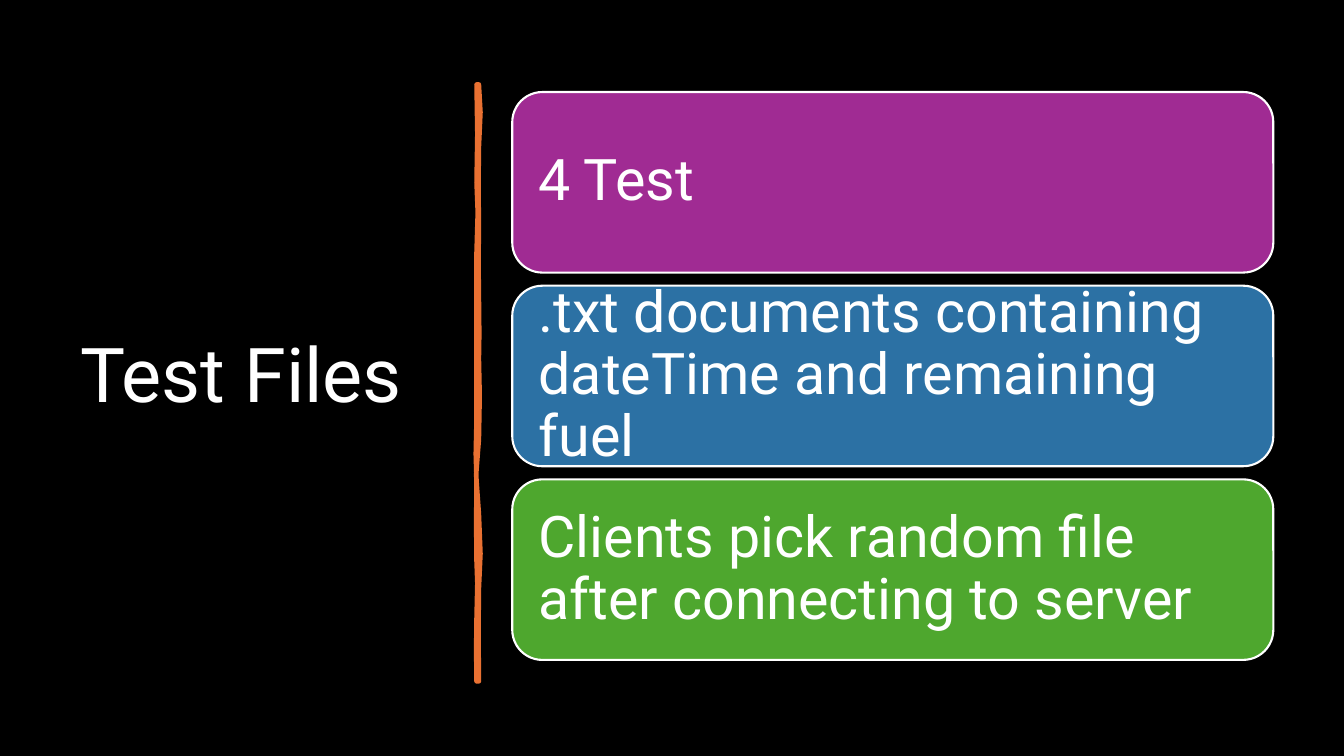
import dataclasses
import typing

import pptx
import pptx.dml.color
import pptx.enum.shapes
import pptx.enum.text
import pptx.slide
import pptx.text.text
import pptx.util

Cm = pptx.util.Cm
Pt = pptx.util.Pt
RGB = pptx.dml.color.RGBColor


@dataclasses.dataclass(frozen=True)
class Theme:
    """Colours, font and type sizes."""

    background: RGB = RGB.from_string("000000")
    text: RGB = RGB.from_string("FFFFFF")
    divider: RGB = RGB.from_string("E97132")
    purple: RGB = RGB.from_string("A02B93")
    blue: RGB = RGB.from_string("2C71A4")
    green: RGB = RGB.from_string("4EA72E")
    font: str = "Roboto"
    title_size: float = 54
    card_size: float = 41
    line_spacing: float = 0.9
    card_line: float = 1.5
    divider_line: float = 3.25


class Card(typing.NamedTuple):
    """Text and fill of one rounded card."""

    text: str
    fill: RGB


class Point(typing.NamedTuple):
    """One corner of the divider outline, in centimetres."""

    x: float
    y: float


THEME = Theme()
CARDS = (
    Card("4 Test", THEME.purple),
    Card(".txt documents containing dateTime and remaining fuel", THEME.blue),
    Card("Clients pick random file after connecting to server", THEME.green),
)
CARD_LEFT, CARD_TOP, CARD_WIDTH, CARD_HEIGHT = 12.91, 2.32, 19.18, 4.55
CARD_PITCH = 4.88
CARD_INSET = 0.44
DIVIDER_RIGHT = (
    Point(12.07, 2.13), Point(12.11, 2.83), Point(12.07, 3.71), Point(12.06, 4.68),
    Point(12.07, 5.74), Point(12.06, 6.59), Point(12.07, 7.47), Point(12.08, 8.42),
    Point(12.07, 9.04), Point(12.09, 9.98), Point(12.07, 11.07), Point(12, 11.97),
    Point(12.07, 12.95), Point(12.11, 13.95), Point(12.07, 14.83),
    Point(12.06, 15.94), Point(12.07, 17.17),
)
DIVIDER_LEFT = (
    Point(12.01, 17.17), Point(12, 16.38), Point(12.01, 15.57), Point(12.03, 14.7),
    Point(12.01, 14.15), Point(12, 13.18), Point(12.01, 12.12), Point(11.99, 11.44),
    Point(12.01, 10.54), Point(12.01, 9.61), Point(12.01, 8.51), Point(12.01, 7.37),
    Point(12.01, 6.35), Point(12.04, 5.35), Point(12.01, 4.6), Point(12.03, 3.38),
    Point(12.01, 2.13),
)


def set_text(tf: pptx.text.text.TextFrame, text: str, size: float) -> None:
    """Write left-aligned, vertically centred text."""
    tf.text = text
    tf.word_wrap = True
    tf.auto_size = pptx.enum.text.MSO_AUTO_SIZE.NONE
    tf.vertical_anchor = pptx.enum.text.MSO_ANCHOR.MIDDLE
    p = tf.paragraphs[0]
    p.alignment = pptx.enum.text.PP_ALIGN.LEFT
    p.line_spacing = THEME.line_spacing
    r = p.runs[0]
    r.font.name = THEME.font
    r.font.size = Pt(size)
    r.font.color.rgb = THEME.text


def add_title(s: pptx.slide.Slide, text: str) -> None:
    """Place and format the title placeholder."""
    sp = s.shapes.title
    sp.left, sp.top, sp.width, sp.height = Cm(1.77), Cm(1.77), Cm(9.5), Cm(15.52)
    set_text(sp.text_frame, text, THEME.title_size)


def add_divider(s: pptx.slide.Slide) -> None:
    """Draw the hand-drawn vertical stroke."""
    start, *rest = [(Cm(x), Cm(y)) for x, y in DIVIDER_RIGHT + DIVIDER_LEFT]
    builder = s.shapes.build_freeform(*start)
    builder.add_line_segments(rest, close=True)
    sp = builder.convert_to_shape()
    sp.shadow.inherit = False
    sp.fill.solid()
    sp.fill.fore_color.rgb = THEME.divider
    sp.line.color.rgb = THEME.divider
    sp.line.width = Pt(THEME.divider_line)


def add_card(s: pptx.slide.Slide, card: Card, top: float) -> None:
    """Draw one rounded card with its text."""
    sp = s.shapes.add_shape(
        pptx.enum.shapes.MSO_SHAPE.ROUNDED_RECTANGLE,
        Cm(CARD_LEFT), Cm(top), Cm(CARD_WIDTH), Cm(CARD_HEIGHT),
    )
    sp.shadow.inherit = False
    sp.fill.solid()
    sp.fill.fore_color.rgb = card.fill
    sp.line.color.rgb = THEME.text
    sp.line.width = Pt(THEME.card_line)
    tf = sp.text_frame
    tf.margin_left = tf.margin_right = Cm(CARD_INSET)
    tf.margin_top = tf.margin_bottom = Cm(CARD_INSET)
    set_text(tf, card.text, THEME.card_size)


def main() -> None:
    """Build and save the slide."""
    prs = pptx.Presentation()
    prs.slide_width, prs.slide_height = Cm(33.87), Cm(19.05)
    s = prs.slides.add_slide(prs.slide_layouts.get_by_name("Title Only"))
    s.background.fill.solid()
    s.background.fill.fore_color.rgb = THEME.background
    add_title(s, "Test Files")
    add_divider(s)
    for i, card in enumerate(CARDS):
        add_card(s, card, CARD_TOP + i * CARD_PITCH)
    prs.save("out.pptx")


if __name__ == "__main__":
    main()
